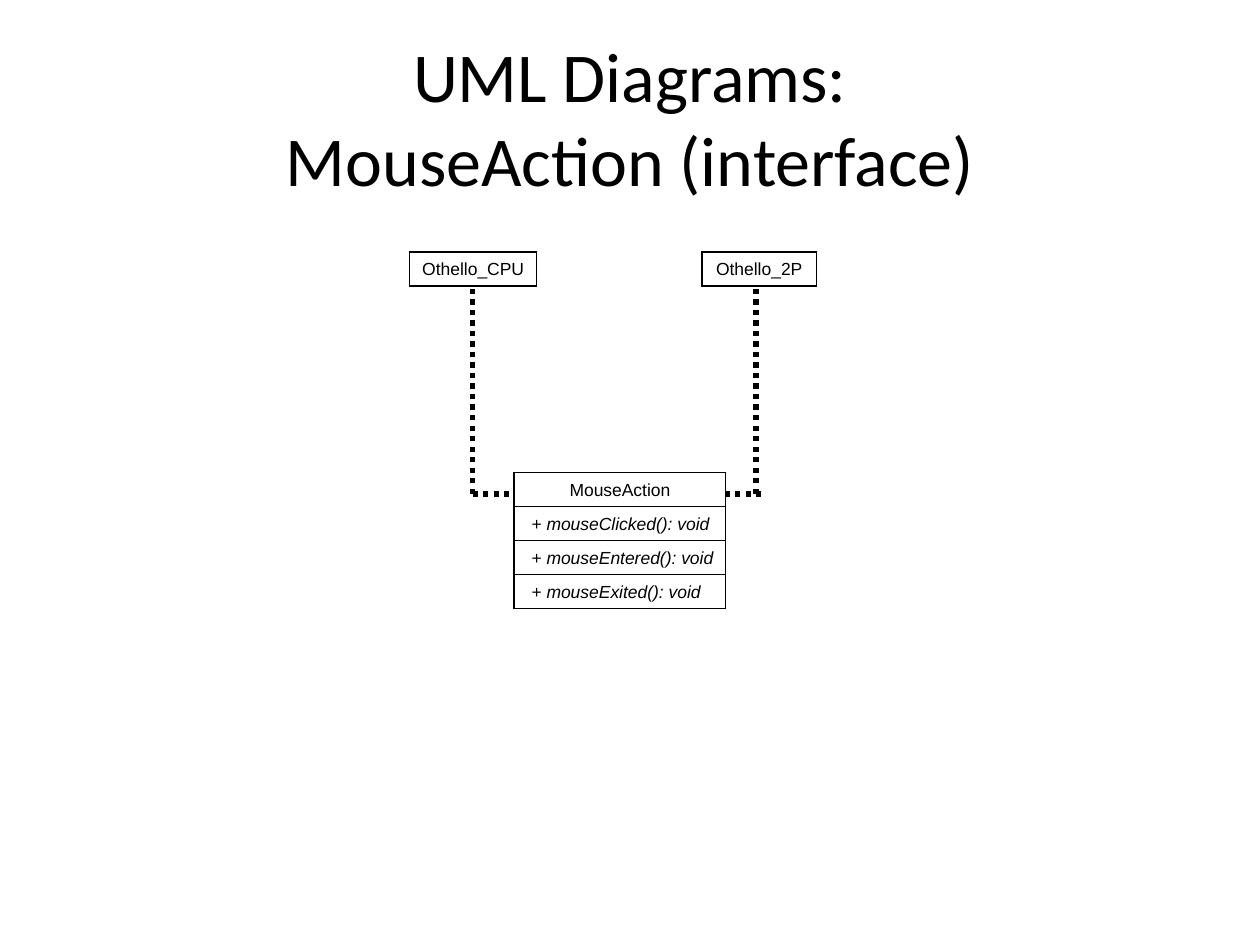
from dataclasses import dataclass

from lxml.etree import SubElement
from pptx import Presentation
from pptx.dml.color import RGBColor
from pptx.enum.dml import MSO_LINE
from pptx.enum.shapes import MSO_CONNECTOR
from pptx.enum.text import MSO_ANCHOR, MSO_AUTO_SIZE, PP_ALIGN
from pptx.oxml.ns import qn
from pptx.util import Inches, Pt


@dataclass(frozen=True)
class Theme:
    ink: str = "000000"
    title_font: str = "Calibri"
    body_font: str = "Arial"
    title_size: int = 40
    body_size: int = 10
    outer_border: float = 0.96
    inner_border: float = 0.45
    link_width: float = 3


class UmlSlide:
    def __init__(self, presentation, theme):
        self.theme = theme
        self.ink = RGBColor.from_string(theme.ink)
        self.slide = presentation.slides.add_slide(presentation.slide_layouts[5])

    def add_run(self, paragraph, text, font, size, italic=False):
        run = paragraph.add_run()
        run.text = text
        run.font.name = font
        run.font.size = Pt(size)
        run.font.bold = False
        run.font.italic = italic
        run.font.color.rgb = self.ink

    def title(self, lines, left, top, width, height):
        title = self.slide.shapes.title
        title.left, title.top = Inches(left), Inches(top)
        title.width, title.height = Inches(width), Inches(height)
        frame = title.text_frame
        frame.auto_size = MSO_AUTO_SIZE.NONE
        frame.vertical_anchor = MSO_ANCHOR.MIDDLE
        paragraph = frame.paragraphs[0]
        paragraph.alignment = PP_ALIGN.CENTER
        for number, line in enumerate(lines):
            if number:
                paragraph.add_line_break()
            self.add_run(paragraph, line, self.theme.title_font, self.theme.title_size)

    def border(self, cell, side, width):
        properties = cell._tc.get_or_add_tcPr()
        line = SubElement(properties, qn(f"a:ln{side}"), w=str(Pt(width)))
        fill = SubElement(line, qn("a:solidFill"))
        SubElement(fill, qn("a:srgbClr"), val=self.theme.ink)

    def class_box(self, name, methods, left, top, width, row_height=0.27):
        rows = [name, *methods]
        table = self.slide.shapes.add_table(
            len(rows), 1, Inches(left), Inches(top),
            Inches(width), Inches(row_height * len(rows))).table
        table.first_row = table.horz_banding = False
        outer, inner = self.theme.outer_border, self.theme.inner_border
        for number, text in enumerate(rows):
            cell = table.cell(number, 0)
            cell.vertical_anchor = MSO_ANCHOR.BOTTOM
            above = inner if number > 1 else outer
            below = inner if 0 < number < len(rows) - 1 else outer
            for side, line_width in zip("LRTB", (outer, outer, above, below)):
                self.border(cell, side, line_width)
            cell.fill.background()
            paragraph = cell.text_frame.paragraphs[0]
            paragraph.alignment = PP_ALIGN.LEFT if number else PP_ALIGN.CENTER
            self.add_run(paragraph, text, self.theme.body_font,
                         self.theme.body_size, italic=number > 0)

    def dotted_link(self, start, end):
        link = self.slide.shapes.add_connector(
            MSO_CONNECTOR.STRAIGHT, *(Inches(value) for value in (*start, *end)))
        link.line.color.rgb = self.ink
        link.line.width = Pt(self.theme.link_width)
        link.line.dash_style = MSO_LINE.ROUND_DOT
        SubElement(link._element.spPr, qn("a:effectLst"))


def main():
    presentation = Presentation()
    presentation.slide_width, presentation.slide_height = Inches(10), Inches(7.5)
    uml = UmlSlide(presentation, Theme())

    uml.title(["UML Diagrams:", "MouseAction (interface)"], 0.5, 0.3, 9, 1.25)
    mouse_methods = [f" + mouse{event}(): void" for event in ("Clicked", "Entered", "Exited")]
    uml.class_box("MouseAction", mouse_methods, 4.08, 3.75, 1.68)
    uml.class_box("Othello_CPU", [], 3.25, 2, 1.01)
    uml.class_box("Othello_2P", [], 5.57, 2, 0.91)

    class_bottom, interface_level = 2.27, 3.92
    for drop, link_start, link_end in ((6, 5.75, 6.08), (3.75, 3.75, 4.08)):
        uml.dotted_link((link_start, interface_level), (link_end, interface_level))
        uml.dotted_link((drop, interface_level), (drop, class_bottom))

    presentation.save("out.pptx")


if __name__ == "__main__":
    main()
